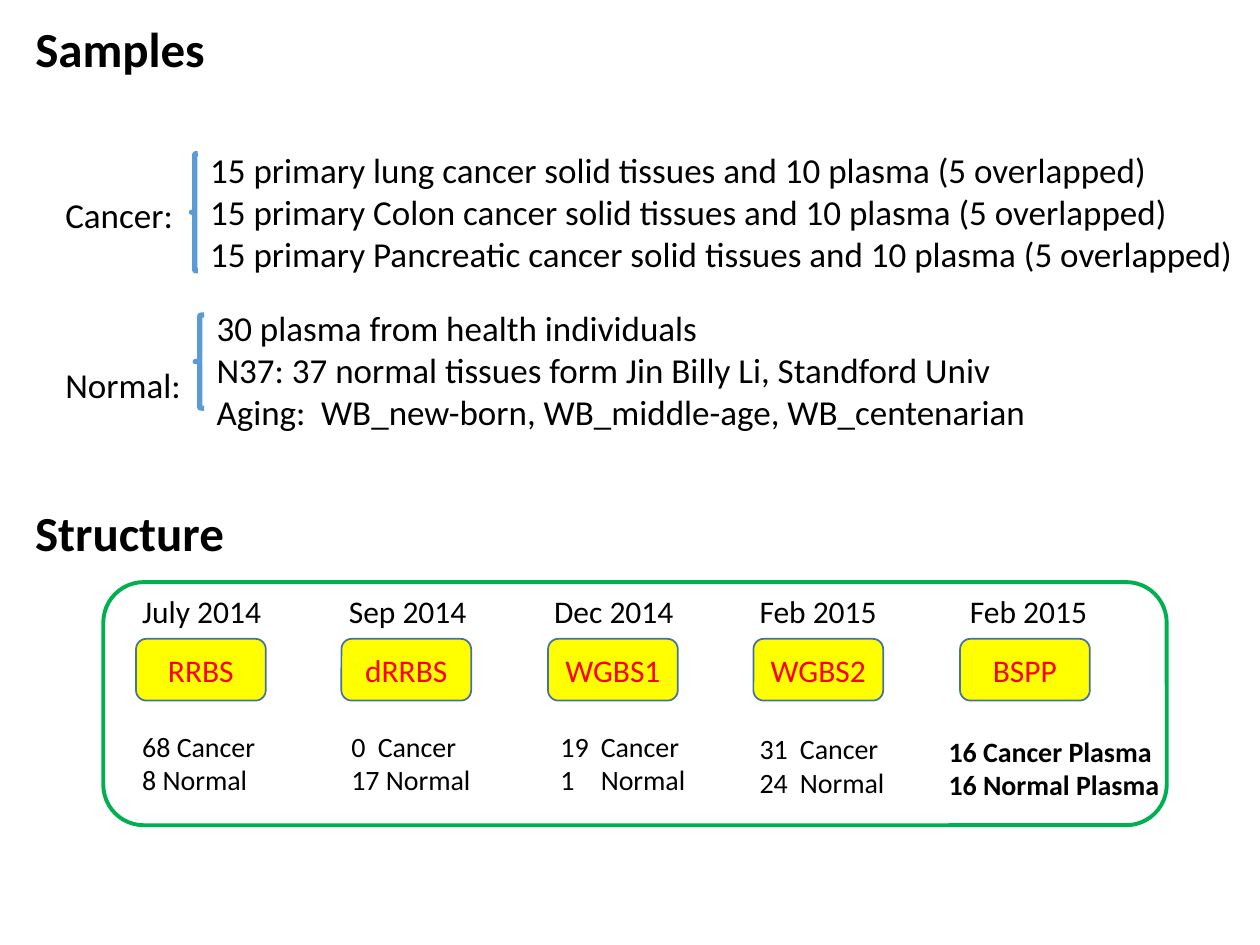
from dataclasses import dataclass

from lxml import etree
from pptx import Presentation
from pptx.dml.color import RGBColor
from pptx.enum.shapes import MSO_SHAPE
from pptx.enum.text import MSO_ANCHOR, MSO_AUTO_SIZE, PP_ALIGN
from pptx.oxml.ns import qn
from pptx.util import Emu, Pt

ROUNDED = MSO_SHAPE.ROUNDED_RECTANGLE
BRACE = MSO_SHAPE.LEFT_BRACE
TOP, MIDDLE = MSO_ANCHOR.TOP, MSO_ANCHOR.MIDDLE
LEFT, CENTER = PP_ALIGN.LEFT, PP_ALIGN.CENTER
GROW = MSO_AUTO_SIZE.SHAPE_TO_FIT_TEXT
EMU_PER_PX = 9144


@dataclass(frozen=True)
class Theme:
    """Colours, font and type sizes of the slide."""
    font: str = "Calibri"
    ink: str = "000000"
    chip_text: str = "FF0000"
    chip_fill: str = "FFFF00"
    chip_line: str = "43739E"
    frame: str = "00B050"
    brace: str = "5B9BD5"
    heading: int = 28
    body: int = 20
    stage: int = 18
    count: int = 16


@dataclass(frozen=True)
class Stage:
    """One assay with its date, its counts and their offsets from the chip."""
    date: str
    assay: str
    counts: tuple
    date_dx: int
    date_width: int
    counts_dx: int
    counts_dy: int
    counts_width: int
    tab: int = 0
    bold: bool = False


THEME = Theme()

SAMPLE_LABELS = ("Cancer:", "Normal:")
CANCER_SAMPLES = (
    "15 primary lung cancer solid tissues and 10 plasma (5 overlapped)",
    "15 primary Colon cancer solid tissues and 10 plasma (5 overlapped)",
    "15 primary Pancreatic cancer solid tissues and 10 plasma (5 overlapped)",
)
NORMAL_SAMPLES = (
    "30 plasma from health individuals",
    "N37: 37 normal tissues form Jin Billy Li, Standford Univ",
    "Aging:\tWB_new-born, WB_middle-age, WB_centenarian",
)
STAGES = (
    Stage("July 2014", "RRBS", ("68 Cancer", "8 Normal"), -5, 116, -5, 67, 111),
    Stage("Sep 2014", "dRRBS", ("0\tCancer", "17 Normal"), -4, 115, -2, 67, 116, 21),
    Stage("Dec 2014", "WGBS1", ("19\tCancer", "1\tNormal"), -5, 116, 0, 67, 120, 32),
    Stage("Feb 2015", "WGBS2", ("31\tCancer", "24\tNormal"), -5, 114, -5, 69, 121, 32),
    Stage("Feb 2015", "BSPP", ("16 Cancer Plasma", "16 Normal Plasma"),
          -2, 114, -19, 71, 190, bold=True),
)


def px(length):
    """Turn a length in px into EMU."""
    return Emu(length * EMU_PER_PX)


def place(box):
    """Turn a px box into EMU lengths."""
    return [px(length) for length in box]


def write(frame, lines, size, color=THEME.ink, bold=False, align=LEFT, gap=0, tab=0):
    """Fill a text frame with one paragraph per line."""
    for index, line in enumerate(lines):
        paragraph = frame.add_paragraph() if index else frame.paragraphs[0]
        paragraph.alignment = align
        if index and gap:
            paragraph.space_before = Pt(gap)
        if "\t" in line:
            stops = etree.SubElement(paragraph._p.get_or_add_pPr(), qn("a:tabLst"))
            etree.SubElement(stops, qn("a:tab"), pos=str(px(tab)), algn="l")
        run = paragraph.add_run()
        run.text = line
        run.font.name = THEME.font
        run.font.size = Pt(size)
        run.font.bold = bold
        run.font.color.rgb = RGBColor.from_string(color)


def add_text(slide, box, lines, size, wrap=False, **style):
    """Add a text box that grows with its lines."""
    frame = slide.shapes.add_textbox(*place(box)).text_frame
    frame.word_wrap = wrap
    frame.auto_size = GROW
    write(frame, lines, size, **style)


def add_outline(slide, preset, box, line, weight, fill=None):
    """Add a preset shape with a line and an optional fill."""
    shape = slide.shapes.add_shape(preset, *place(box))
    shape.shadow.inherit = False
    shape.line.color.rgb = RGBColor.from_string(line)
    shape.line.width = Pt(weight)
    if fill:
        shape.fill.solid()
        shape.fill.fore_color.rgb = RGBColor.from_string(fill)
    else:
        shape.fill.background()
    return shape


def add_title(slide, box):
    """Place and format the slide title."""
    title = slide.shapes.title
    title.left, title.top, title.width, title.height = place(box)
    frame = title.text_frame
    frame.word_wrap = False
    frame.auto_size = GROW
    frame.vertical_anchor = TOP
    write(frame, ["Samples"], THEME.heading, bold=True)


def add_samples(slide, box):
    """Add the sample groups, each listed beside its brace."""
    left, top, width, _ = box
    add_text(slide, (left, top + 36, 113, 178), SAMPLE_LABELS, THEME.body, gap=73)
    add_outline(slide, BRACE, (left + 110, top + 9, 5, 93), THEME.brace, 3)
    add_text(slide, (left + 115, top, width - 115, 111), CANCER_SAMPLES,
             THEME.body, wrap=True)
    add_outline(slide, BRACE, (left + 113, top + 137, 7, 74), THEME.brace, 3)
    add_text(slide, (left + 120, top + 125, 669, 111), NORMAL_SAMPLES,
             THEME.body, tab=83)


def add_stage(slide, box, stage):
    """Add one assay chip with its date above and its counts below."""
    left, top, _, _ = box
    chip = add_outline(slide, ROUNDED, box, THEME.chip_line, 1, THEME.chip_fill)
    chip.text_frame.vertical_anchor = MIDDLE
    write(chip.text_frame, [stage.assay], THEME.stage, THEME.chip_text, align=CENTER)
    add_text(slide, (left + stage.date_dx, top - 42, stage.date_width, 40),
             [stage.date], THEME.stage)
    add_text(slide, (left + stage.counts_dx, top + stage.counts_dy,
                     stage.counts_width, 64),
             stage.counts, THEME.count, bold=stage.bold, tab=stage.tab)


def add_structure(slide, box):
    """Add the framed row of evenly spaced stages."""
    left, top, _, _ = box
    add_outline(slide, ROUNDED, box, THEME.frame, 2.25)
    for index, stage in enumerate(STAGES):
        chip_left = left + 26 + index * 327 // 2
        add_stage(slide, (chip_left, top + 45, 103, 49), stage)


def main():
    """Build the slide and save it."""
    deck = Presentation()
    deck.slide_width, deck.slide_height = px(1000), px(750)
    slide = deck.slides.add_slide(deck.slide_layouts[5])
    add_title(slide, (18, 10, 156, 57))
    add_samples(slide, (42, 113, 968, 236))
    add_text(slide, (18, 394, 172, 57), ["Structure"], THEME.heading, bold=True)
    add_structure(slide, (82, 462, 844, 193))
    deck.save("out.pptx")


if __name__ == "__main__":
    main()
